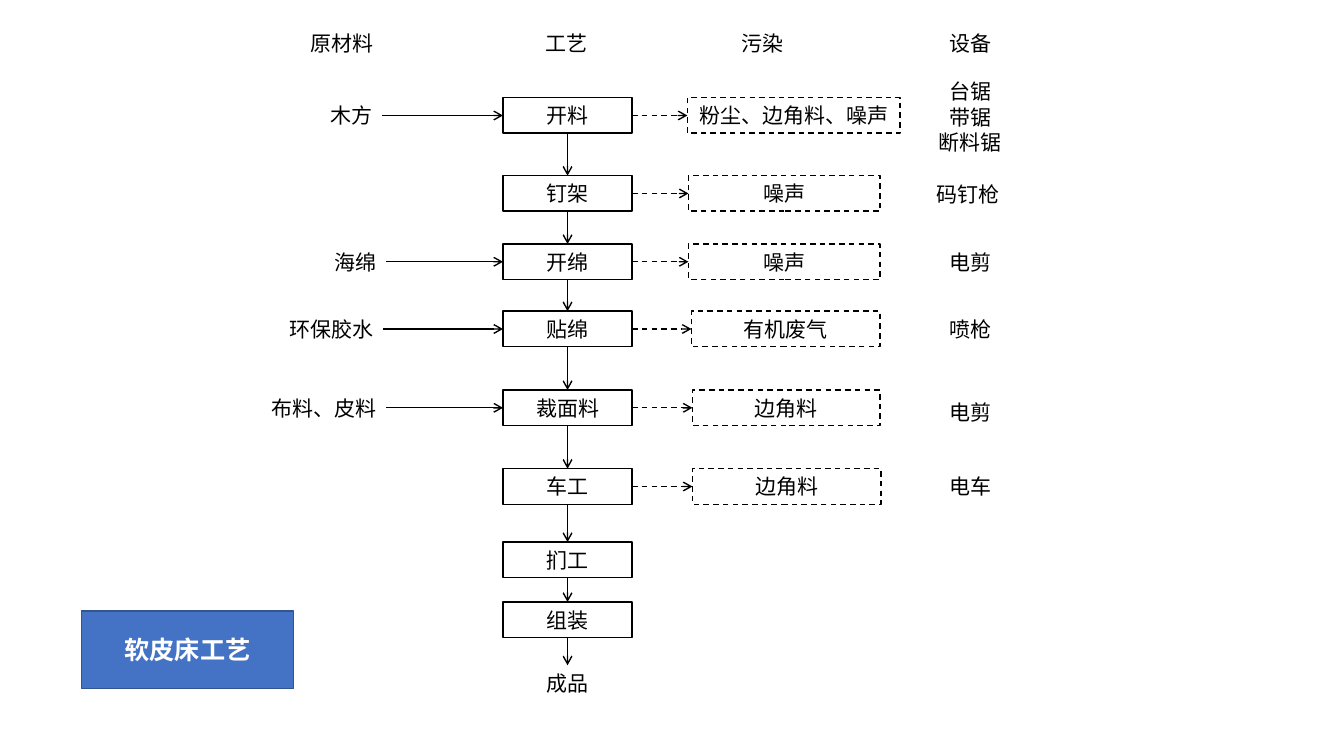
"""Build the process flow slide for a soft leather bed."""
from dataclasses import dataclass

from lxml import etree
from pptx import Presentation
from pptx.dml.color import RGBColor
from pptx.enum.dml import MSO_LINE
from pptx.enum.shapes import MSO_CONNECTOR, MSO_SHAPE
from pptx.enum.text import MSO_ANCHOR, MSO_AUTO_SIZE, PP_ALIGN
from pptx.oxml.ns import qn
from pptx.util import Pt

RECTANGLE = MSO_SHAPE.RECTANGLE
STRAIGHT = MSO_CONNECTOR.STRAIGHT
DASH = MSO_LINE.DASH
CENTER, RIGHT = PP_ALIGN.CENTER, PP_ALIGN.RIGHT
MIDDLE = MSO_ANCHOR.MIDDLE
NO_AUTOFIT = MSO_AUTO_SIZE.NONE
TOP_SITE, LEFT_SITE, BOTTOM_SITE, RIGHT_SITE = range(4)


@dataclass(frozen=True)
class Theme:
    font: str = "Noto Sans CJK SC"
    ink: RGBColor = RGBColor(0, 0, 0)
    paper: RGBColor = RGBColor(255, 255, 255)
    accent: RGBColor = RGBColor(0x44, 0x72, 0xC4)
    accent_edge: RGBColor = RGBColor(0x32, 0x54, 0x91)
    body_size: int = 15
    title_size: int = 18
    line_width: int = 1
    line_pitch: int = 18


THEME = Theme()
ROW_HEIGHT = 25.4

deck = Presentation()
deck.slide_width, deck.slide_height = Pt(960), Pt(540)
slide = deck.slides.add_slide(deck.slide_layouts[5])


def write(holder, lines, align=CENTER, size=THEME.body_size, color=THEME.ink, bold=False):
    frame = holder.text_frame
    frame.word_wrap = True
    frame.auto_size = NO_AUTOFIT
    frame.vertical_anchor = MIDDLE
    for number, line in enumerate(lines):
        paragraph = frame.add_paragraph() if number else frame.paragraphs[0]
        paragraph.alignment = align
        if len(lines) > 1:
            paragraph.line_spacing = Pt(THEME.line_pitch)
        run = paragraph.add_run()
        run.text = line
        run.font.name = THEME.font
        run.font.size = Pt(size)
        run.font.bold = bold
        run.font.color.rgb = color
        etree.SubElement(run.font._element, qn("a:ea"), typeface=THEME.font)
    return holder


def label(text, left, top, width, align=CENTER):
    lines = text.split("\n")
    height = ROW_HEIGHT + (len(lines) - 1) * THEME.line_pitch
    return write(slide.shapes.add_textbox(Pt(left), Pt(top), Pt(width), Pt(height)), lines, align)


product = slide.shapes.title
product.left, product.top, product.width, product.height = Pt(58.3), Pt(436.3), Pt(151.2), Pt(55.4)
etree.SubElement(product._element.spPr, qn("a:prstGeom"), prst="roundRect")
product.fill.solid()
product.fill.fore_color.rgb = THEME.accent
product.line.color.rgb = THEME.accent_edge
product.line.width = Pt(THEME.line_width)
write(product, ["软皮床工艺"], size=THEME.title_size, color=THEME.paper, bold=True)

for heading, left, width, align in [
    ("原材料", 199.4, 74.2, RIGHT),
    ("工艺", 372.2, 64.8, CENTER),
    ("污染", 512.6, 64.8, CENTER),
    ("设备", 653, 80.6, CENTER),
]:
    label(heading, left, 18, width, align)

stages = [
    ("开料", 69.8, ("木方", 272.9), ("粉尘、边角料、噪声", 491, 643), ("台锯\n带锯\n断料锯", 644.4, 52.6)),
    ("钉架", 125.5, None, ("噪声", 491.8, 628.6), ("码钉枪", 643, 126)),
    ("开绵", 174.3, ("海绵", 275.8), ("噪声", 491.8, 628.6), ("电剪", 644.4, 174.3)),
    ("贴绵", 222.3, ("环保胶水", 273.6), ("有机废气", 493.9, 628.6), ("喷枪", 644.4, 222.3)),
    ("裁面料", 278.6, ("布料、皮料", 275.8), ("边角料", 494.6, 628.6), ("电剪", 644.4, 281.5)),
    ("车工", 334.8, None, ("边角料", 494.6, 629.3), ("电车", 644.4, 334.8)),
    ("扪工", 387.2, None, None, None),
    ("组装", 430, None, None, None),
]

boxes, flows = [], []
previous_step = None
for process, top, material, pollution, equipment in stages:
    step = slide.shapes.add_shape(RECTANGLE, Pt(359.3), Pt(top), Pt(92.2), Pt(ROW_HEIGHT))
    boxes.append((step, process, None))
    if previous_step is not None:
        flows.append((previous_step, BOTTOM_SITE, step, TOP_SITE, None))
    if material:
        name, right = material
        supply = label(name, right - 101.5, top, 101.5, RIGHT)
        flows.append((supply, RIGHT_SITE, step, LEFT_SITE, None))
    if pollution:
        name, left, right = pollution
        waste = slide.shapes.add_shape(RECTANGLE, Pt(left), Pt(top), Pt(right - left), Pt(ROW_HEIGHT))
        boxes.append((waste, name, DASH))
        flows.append((step, RIGHT_SITE, waste, LEFT_SITE, DASH))
    if equipment:
        label(*equipment, 97.2)
    previous_step = step

finished_goods = label("成品", 359.3, 475.2, 92.2)
flows.append((previous_step, BOTTOM_SITE, finished_goods, TOP_SITE, None))

for box, text, dash in boxes:
    box.shadow.inherit = False
    box.fill.solid()
    box.fill.fore_color.rgb = THEME.paper
    box.line.color.rgb = THEME.ink
    box.line.width = Pt(THEME.line_width)
    box.line.dash_style = dash
    write(box, [text])

for source, source_site, target, target_site, dash in flows:
    arrow = slide.shapes.add_connector(STRAIGHT, Pt(0), Pt(0), Pt(0), Pt(0))
    arrow.begin_connect(source, source_site)
    arrow.end_connect(target, target_site)
    arrow.line.color.rgb = THEME.ink
    arrow.line.width = Pt(THEME.line_width)
    arrow.line.dash_style = dash
    etree.SubElement(arrow.line._get_or_add_ln(), qn("a:tailEnd"), type="arrow")
    etree.SubElement(arrow._element.spPr, qn("a:effectLst"))

deck.save("out.pptx")
